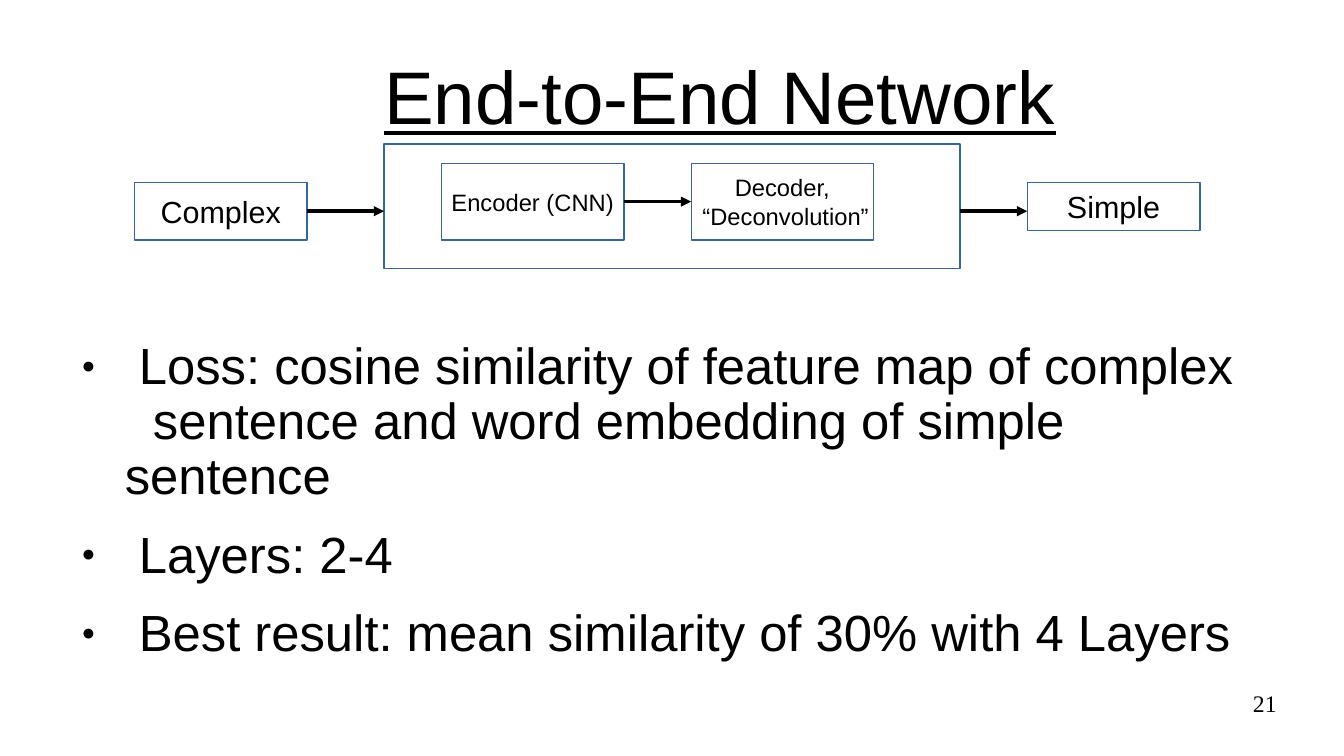
import copy

import lxml.etree
import pptx
import pptx.dml.color
import pptx.enum.shapes
import pptx.enum.text
import pptx.oxml.ns
import pptx.util

BLACK = pptx.dml.color.RGBColor(0x00, 0x00, 0x00)
BLUE = pptx.dml.color.RGBColor(0x34, 0x65, 0xA4)
ALIGN = pptx.enum.text.PP_ALIGN
ANCHOR = pptx.enum.text.MSO_ANCHOR
qn = pptx.oxml.ns.qn
CELL = pptx.util.Mm(2)  # the slide is a grid of 140 columns by 78.75 rows


def grid(*counts):
    return [round(count * CELL) for count in counts]


def write(frame, text, size, font="Arial", align=ALIGN.CENTER, anchor=ANCHOR.MIDDLE,
          wrap=False, underline=None, margins=(0.1, 0.05)):
    """Fill a text frame: newline parts paragraphs, vertical tab breaks a line."""
    frame.auto_size = pptx.enum.text.MSO_AUTO_SIZE.NONE
    frame.word_wrap = wrap
    frame.vertical_anchor = anchor
    frame.margin_left = frame.margin_right = pptx.util.Inches(margins[0])
    frame.margin_top = frame.margin_bottom = pptx.util.Inches(margins[1])
    frame.text = text
    for paragraph in frame.paragraphs:
        paragraph.alignment = align
        for run in paragraph.runs:
            run.font.name = font
            run.font.size = pptx.util.Pt(size)
            run.font.color.rgb = BLACK
            run.font.underline = underline
        for line_break in paragraph._p.findall(qn("a:br")):
            line_break.append(copy.deepcopy(paragraph.runs[0].font._rPr))


presentation = pptx.Presentation()
presentation.slide_width, presentation.slide_height = grid(140, 78.75)
slide = presentation.slides.add_slide(presentation.slide_layouts[1])
title, body = slide.placeholders

# Title
title.left, title.top, title.width, title.height = grid(38.75, 4.75, 72.5, 10.25)
write(title.text_frame, "End-to-End Network", 44, underline=True)

# Boxes: name, left, top, right, bottom in grid cells, text, size
boxes = {}
for name, left, top, right, bottom, text, size in [
    ("complex", 14, 19, 32, 25, "Complex", 18),
    ("network", 40, 15, 100, 28, "", 18),
    ("encoder", 46, 17, 65, 25, "Encoder (CNN)", 14),
    ("decoder", 72, 17, 91, 25, "Decoder,\n “Deconvolution”", 14),
    ("simple", 107, 19, 125, 24, "Simple", 18),
]:
    box = slide.shapes.add_shape(pptx.enum.shapes.MSO_SHAPE.RECTANGLE,
                                 *grid(left, top, right - left, bottom - top))
    box.shadow.inherit = False
    box.fill.background()
    box.line.color.rgb = BLUE
    box.line.width = pptx.util.Pt(0)
    if text:
        write(box.text_frame, text, size)
    boxes[name] = box

# Arrows: left, right, row, box joined at the start, box joined at the end
for left, right, row, start, end in [
    (32, 40, 22, "complex", None),
    (65, 72, 21, "encoder", "decoder"),
    (100, 107, 22, None, None),
]:
    arrow = slide.shapes.add_connector(pptx.enum.shapes.MSO_CONNECTOR.STRAIGHT,
                                       *grid(left, row, right, row))
    if start:
        arrow.begin_connect(boxes[start], 3)
    if end:
        arrow.end_connect(boxes[end], 1)
    arrow.line.color.rgb = BLACK
    arrow.line.width = pptx.util.Pt(0)
    lxml.etree.SubElement(arrow.line._get_or_add_ln(), qn("a:tailEnd"), type="triangle")
    lxml.etree.SubElement(arrow._element.spPr, qn("a:effectLst"))

# Bullet list
body.left, body.top, body.width, body.height = grid(7, 35.5, 126, 28.5)
write(body.text_frame,
      " Loss: cosine similarity of feature map of complex\v"
      "  sentence and word embedding of simple sentence\n"
      " Layers: 2-4\n"
      " Best result: mean similarity of 30% with 4 Layers",
      30, align=ALIGN.LEFT, anchor=ANCHOR.TOP, wrap=True, margins=(0, 0))
for index, paragraph in enumerate(body.text_frame.paragraphs):
    paragraph.line_spacing = 0.9
    paragraph.space_before = pptx.util.Pt(14.1 if index else 0)
    properties = paragraph._p.get_or_add_pPr()
    properties.set("marL", str(pptx.util.Mm(12)))
    properties.set("indent", str(-pptx.util.Mm(9)))
    bullet_color = lxml.etree.SubElement(properties, qn("a:buClr"))
    lxml.etree.SubElement(bullet_color, qn("a:srgbClr"), val=str(BLACK))
    lxml.etree.SubElement(properties, qn("a:buSzPct"), val="45000")
    lxml.etree.SubElement(properties, qn("a:buChar"), char="●")

# Slide number
number = slide.shapes.add_textbox(*grid(100.33, 71.75, 32.67, 5.5))
write(number.text_frame, "21", 14, font="Times New Roman", align=ALIGN.RIGHT,
      anchor=ANCHOR.TOP, wrap=True, margins=(0, 0))

presentation.save("out.pptx")
